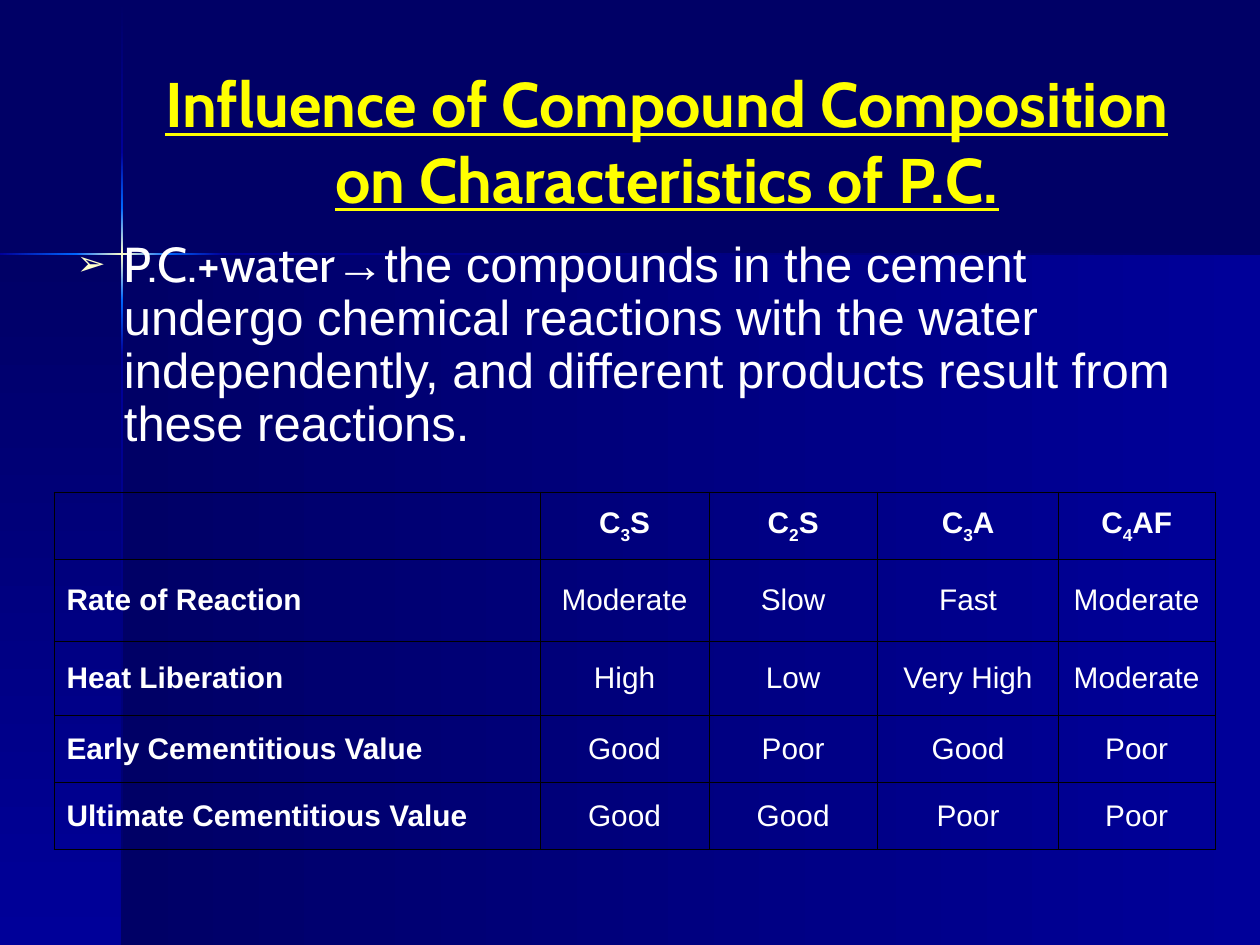
from lxml.etree import SubElement as Sub
from pptx import Presentation
from pptx.dml.color import RGBColor as RGB
from pptx.enum.shapes import MSO_SHAPE as Shape
from pptx.enum.text import MSO_ANCHOR as Anchor, PP_ALIGN as Align
from pptx.oxml.ns import qn
from pptx.util import Cm, Pt

NAVY = RGB(0x00, 0x00, 0x66)
BLUE = RGB(0x00, 0x00, 0x99)
GLOW = RGB(0x00, 0x66, 0xFF)
CREAM = RGB(0xFF, 0xFF, 0xCC)
YELLOW = RGB(0xFF, 0xFF, 0x00)
WHITE = RGB(0xFF, 0xFF, 0xFF)
BLACK = RGB(0x00, 0x00, 0x00)

DOWN, LEFT = 270, 180
BANDS = [
    (2.46, 5.13, 22.94, 13.92, LEFT, (BLUE, NAVY)),
    (0, 5.13, 2.46, 13.92, DOWN, (NAVY, BLUE)),
    (2.44, 0.03, 0.05, 3.04, DOWN, (NAVY, BLUE)),
    (2.44, 7.16, 0.05, 11.89, DOWN, (BLUE, NAVY)),
    (4.5, 5.1, 20.9, 0.05, LEFT, (NAVY, BLUE)),
    (2.44, 6.05, 0.05, 1.11, DOWN, (GLOW, BLUE)),
    (2.44, 3.07, 0.05, 1.12, DOWN, (BLUE, GLOW)),
    (2.44, 4.19, 0.05, 1.86, DOWN, (GLOW, CREAM, GLOW)),
    (0, 5.1, 1.54, 0.05, LEFT, (GLOW, BLUE)),
    (3.38, 5.1, 1.12, 0.05, LEFT, (BLUE, GLOW)),
    (1.53, 5.1, 1.85, 0.05, LEFT, (GLOW, CREAM, GLOW)),
]
TITLE = "Influence of Compound Composition on Characteristics of P.C."
BODY = [
    ("P.C.+water", "Cabin"),
    ("→the compounds in the cement undergo chemical reactions with the water "
     "independently, and different products result from these reactions.", "Arial"),
]
HEADS = [("C", "3", "S"), ("C", "2", "S"), ("C", "3", "A"), ("C", "4", "AF")]
ROWS = [
    ("Rate of Reaction", "Moderate", "Slow", "Fast", "Moderate"),
    ("Heat Liberation", "High", "Low", "Very High", "Moderate"),
    ("Early Cementitious Value", "Good", "Poor", "Good", "Poor"),
    ("Ultimate Cementitious Value", "Good", "Good", "Poor", "Poor"),
]
WIDTHS = [9.8, 3.4, 3.4, 3.65, 3.15]
HEIGHTS = [1.35, 1.65, 1.5, 1.35, 1.35]


def add_band(slide, x, y, w, h, angle, tints):
    band = slide.shapes.add_shape(Shape.RECTANGLE, Cm(x), Cm(y), Cm(w), Cm(h))
    band.shadow.inherit = False
    band.line.fill.background()
    band.fill.gradient()
    band.fill.gradient_angle = angle
    stops = band._element.spPr.find(qn("a:gradFill")).find(qn("a:gsLst"))
    stops.clear()
    for i, tint in enumerate(tints):
        stop = Sub(stops, qn("a:gs"), pos=str(100000 * i // (len(tints) - 1)))
        Sub(stop, qn("a:srgbClr"), val=str(tint))


def add_box(slide, x, y, w, h):
    frame = slide.shapes.add_textbox(Cm(x), Cm(y), Cm(w), Cm(h)).text_frame
    frame.word_wrap = True
    return frame


def set_font(para, size, tint, name=None, bold=False):
    font = para.font
    font.size, font.bold = Pt(size), bold
    font.color.rgb = tint
    if name:
        font.name = name


def add_bullet(para):
    props = para._p.get_or_add_pPr()
    props.set("marL", str(Cm(0.95)))
    props.set("indent", str(-Cm(0.95)))
    Sub(Sub(props, qn("a:buClr")), qn("a:srgbClr"), val=str(CREAM))
    Sub(props, qn("a:buSzPct"), val="70000")
    Sub(props, qn("a:buFont"), typeface="Arial")
    Sub(props, qn("a:buChar"), char="➢")


def style_cell(cell):
    props = cell._tc.get_or_add_tcPr()
    for side in ("lnL", "lnR", "lnT", "lnB"):
        line = Sub(props, qn("a:" + side), w=str(Pt(0.45)))
        Sub(Sub(line, qn("a:solidFill")), qn("a:srgbClr"), val=str(BLACK))
    cell.fill.background()
    cell.vertical_anchor = Anchor.MIDDLE


def add_grid(slide):
    grid = slide.shapes.add_table(
        len(HEIGHTS), len(WIDTHS), Cm(1.09), Cm(9.92),
        Cm(sum(WIDTHS)), Cm(sum(HEIGHTS))).table
    grid.first_row = grid.horz_banding = False
    for col, w in zip(grid.columns, WIDTHS):
        col.width = Cm(w)
    for row, h in zip(grid.rows, HEIGHTS):
        row.height = Cm(h)
    data = [[(), *HEADS]] + [[(text,) for text in row] for row in ROWS]
    for r, row in enumerate(data):
        for c, parts in enumerate(row):
            cell = grid.cell(r, c)
            style_cell(cell)
            para = cell.text_frame.paragraphs[0]
            para.alignment = Align.CENTER if c else Align.LEFT
            set_font(para, 17, WHITE, "Arial", r == 0 or c == 0)
            for i, part in enumerate(parts):
                run = para.add_run()
                run.text = part
                if i == 1:
                    run._r.get_or_add_rPr().set("baseline", "-25000")


def main():
    deck = Presentation()
    deck.slide_width, deck.slide_height = Cm(25.4), Cm(19.05)
    slide = deck.slides.add_slide(deck.slide_layouts[6])
    slide.background.fill.solid()
    slide.background.fill.fore_color.rgb = NAVY
    for band in BANDS:
        add_band(slide, *band)

    frame = add_box(slide, 2.97, 0.84, 20.95, 3.99)
    frame.vertical_anchor = Anchor.MIDDLE
    para = frame.paragraphs[0]
    para.text = TITLE
    para.alignment = Align.CENTER
    set_font(para, 36, YELLOW, "Cabin", True)
    para.font.underline = True

    para = add_box(slide, 1.3, 4.72, 23.24, 4.8).paragraphs[0]
    add_bullet(para)
    para.line_spacing = 0.9
    set_font(para, 28, WHITE)
    for text, name in BODY:
        run = para.add_run()
        run.text = text
        run.font.name = name

    add_grid(slide)
    deck.save("out.pptx")


if __name__ == "__main__":
    main()
